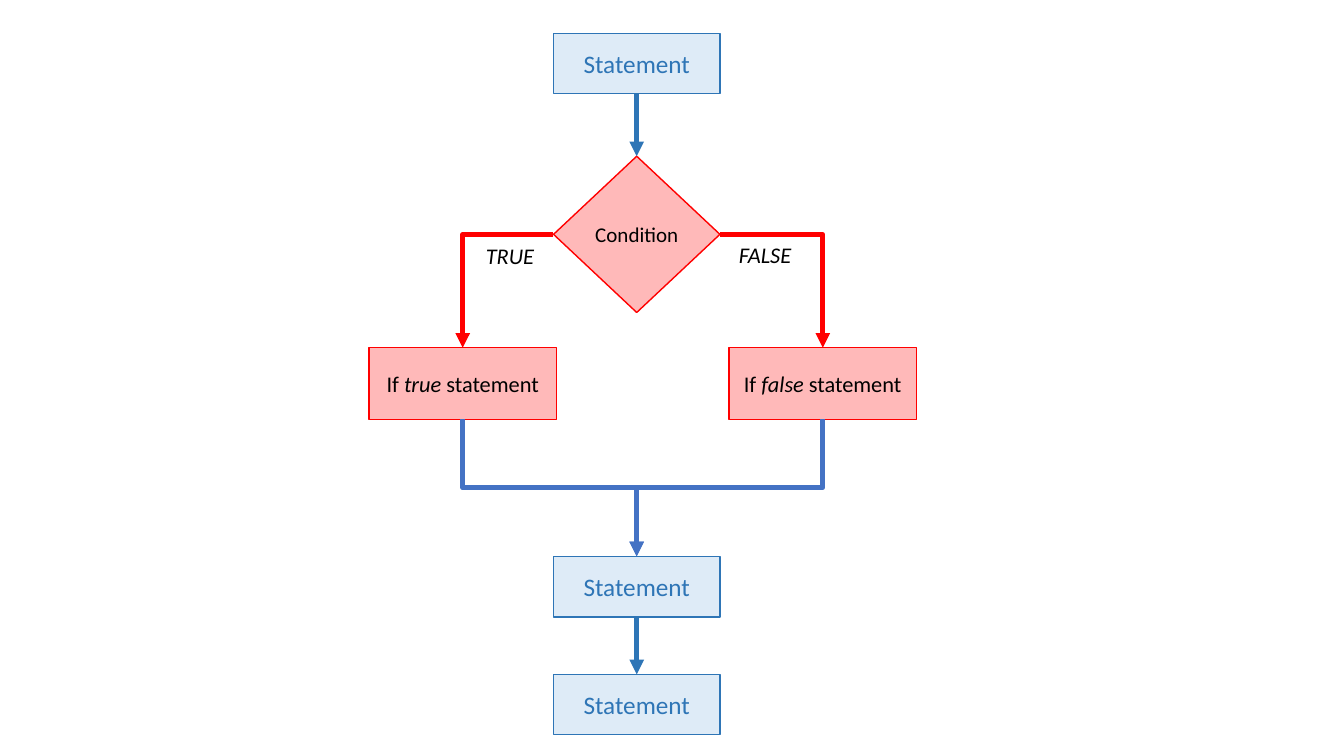
"""Build a flowchart slide of an if/else decision."""
from lxml.etree import SubElement
from pptx import Presentation
from pptx.dml.color import RGBColor
from pptx.enum.shapes import MSO_CONNECTOR, MSO_SHAPE
from pptx.enum.text import MSO_ANCHOR, PP_ALIGN
from pptx.oxml.ns import qn
from pptx.util import Inches, Pt

BLUE = RGBColor(0x2E, 0x75, 0xB6)
PALE_BLUE = RGBColor(0xDE, 0xEB, 0xF7)
MERGE_BLUE = RGBColor(0x44, 0x72, 0xC4)
RED = RGBColor(0xFF, 0x00, 0x00)
PALE_RED = RGBColor(0xFF, 0xB9, 0xB9)
BLACK = RGBColor(0x00, 0x00, 0x00)

FONT = "Calibri"
TOP, LEFT, BOTTOM, RIGHT = range(4)
STATEMENT_LEFT, STATEMENT_WIDTH, STATEMENT_HEIGHT = 5.49, 1.65, 0.6
BRANCH_TOP, BRANCH_WIDTH, BRANCH_HEIGHT = 3.45, 1.86, 0.71


def write_text(shape, parts, size, color, alignment):
    """Write (text, italic) parts as one vertically centred paragraph."""
    frame = shape.text_frame
    frame.word_wrap = True
    frame.vertical_anchor = MSO_ANCHOR.MIDDLE
    paragraph = frame.paragraphs[0]
    paragraph.alignment = alignment
    paragraph.font.name = FONT
    paragraph.font.size = Pt(size)
    paragraph.font.color.rgb = color
    for text, italic in parts:
        run = paragraph.add_run()
        run.text = text
        run.font.italic = italic
        run.font.name = FONT
        run.font.size = Pt(size)
        run.font.color.rgb = color


def add_node(slide, kind, box, parts, size, fill, line, color):
    """Add a filled, outlined flowchart node with centred text."""
    shape = slide.shapes.add_shape(kind, *map(Inches, box))
    shape.shadow.inherit = False
    shape.fill.solid()
    shape.fill.fore_color.rgb = fill
    shape.line.color.rgb = line
    shape.line.width = Pt(1)
    write_text(shape, parts, size, color, PP_ALIGN.CENTER)
    return shape


def add_statement(slide, top):
    """Add a blue statement box in the centre column."""
    box = (STATEMENT_LEFT, top, STATEMENT_WIDTH, STATEMENT_HEIGHT)
    return add_node(slide, MSO_SHAPE.RECTANGLE, box, [("Statement", False)],
                    18, PALE_BLUE, BLUE, BLUE)


def add_condition(slide):
    """Add the red decision diamond."""
    diamond = add_node(slide, MSO_SHAPE.DIAMOND,
                       (STATEMENT_LEFT, 1.55, STATEMENT_WIDTH, 1.55),
                       [("Condition", False)], 15, PALE_RED, RED, BLACK)
    frame = diamond.text_frame
    frame.margin_left = frame.margin_right = 0
    frame.margin_top = frame.margin_bottom = 0
    return diamond


def add_branch(slide, left, outcome):
    """Add the red statement box of one outcome."""
    parts = [("If ", False), (outcome, True), (" statement", False)]
    return add_node(slide, MSO_SHAPE.RECTANGLE,
                    (left, BRANCH_TOP, BRANCH_WIDTH, BRANCH_HEIGHT),
                    parts, 16, PALE_RED, RED, BLACK)


def add_label(slide, left, top, text):
    """Add an italic label beside a branch arrow."""
    label = slide.shapes.add_textbox(Inches(left), Inches(top),
                                     Inches(0.76), Inches(0.71))
    write_text(label, [(text, True)], 16, BLACK, PP_ALIGN.LEFT)


def add_arrow(slide, source, source_site, target, color,
              kind=MSO_CONNECTOR.STRAIGHT):
    """Add an arrow from a site of the source to the top of the target."""
    arrow = slide.shapes.add_connector(kind, 0, 0, 0, 0)
    arrow.begin_connect(source, source_site)
    arrow.end_connect(target, TOP)
    arrow.line.color.rgb = color
    arrow.line.width = Pt(3.5)
    properties = arrow._element.spPr
    SubElement(properties.find(qn("a:ln")), qn("a:tailEnd"), type="triangle")
    SubElement(properties, qn("a:effectLst"))
    return arrow


def add_branch_arrow(slide, source, source_site, target):
    """Add a red arrow that runs sideways, then down."""
    arrow = add_arrow(slide, source, source_site, target, RED,
                      MSO_CONNECTOR.ELBOW)
    geometry = arrow._element.spPr.find(qn("a:prstGeom"))
    geometry.set("prst", "bentConnector2")


def add_merge_arrow(slide, source, target):
    """Add a blue arrow that runs down, sideways, then down."""
    arrow = add_arrow(slide, source, BOTTOM, target, MERGE_BLUE,
                      MSO_CONNECTOR.ELBOW)
    goes_right = arrow.end_x > arrow.begin_x
    center_x = (arrow.begin_x + arrow.end_x) // 2
    center_y = (arrow.begin_y + arrow.end_y) // 2
    arrow.width, arrow.height = arrow.height, arrow.width
    arrow.left = center_x - arrow.width // 2
    arrow.top = center_y - arrow.height // 2
    transform = arrow._element.spPr.find(qn("a:xfrm"))
    transform.set("rot", str((270 if goes_right else 90) * 60000))
    transform.set("flipH", "1" if goes_right else "0")


def main():
    """Build and save the flowchart."""
    presentation = Presentation()
    presentation.slide_width = Inches(13.33)
    presentation.slide_height = Inches(7.5)
    slide = presentation.slides.add_slide(presentation.slide_layouts[6])

    first, merged, last = [add_statement(slide, top)
                           for top in (0.33, 5.52, 6.69)]
    condition = add_condition(slide)
    false_branch = add_branch(slide, 7.23, "false")
    true_branch = add_branch(slide, 3.66, "true")

    add_arrow(slide, first, BOTTOM, condition, BLUE)
    add_arrow(slide, merged, BOTTOM, last, BLUE)
    for branch, site in ((false_branch, RIGHT), (true_branch, LEFT)):
        add_branch_arrow(slide, condition, site, branch)
        add_merge_arrow(slide, branch, merged)

    add_label(slide, 4.72, 2.18, "TRUE")
    add_label(slide, 7.23, 2.17, "FALSE")
    presentation.save("out.pptx")


if __name__ == "__main__":
    main()
